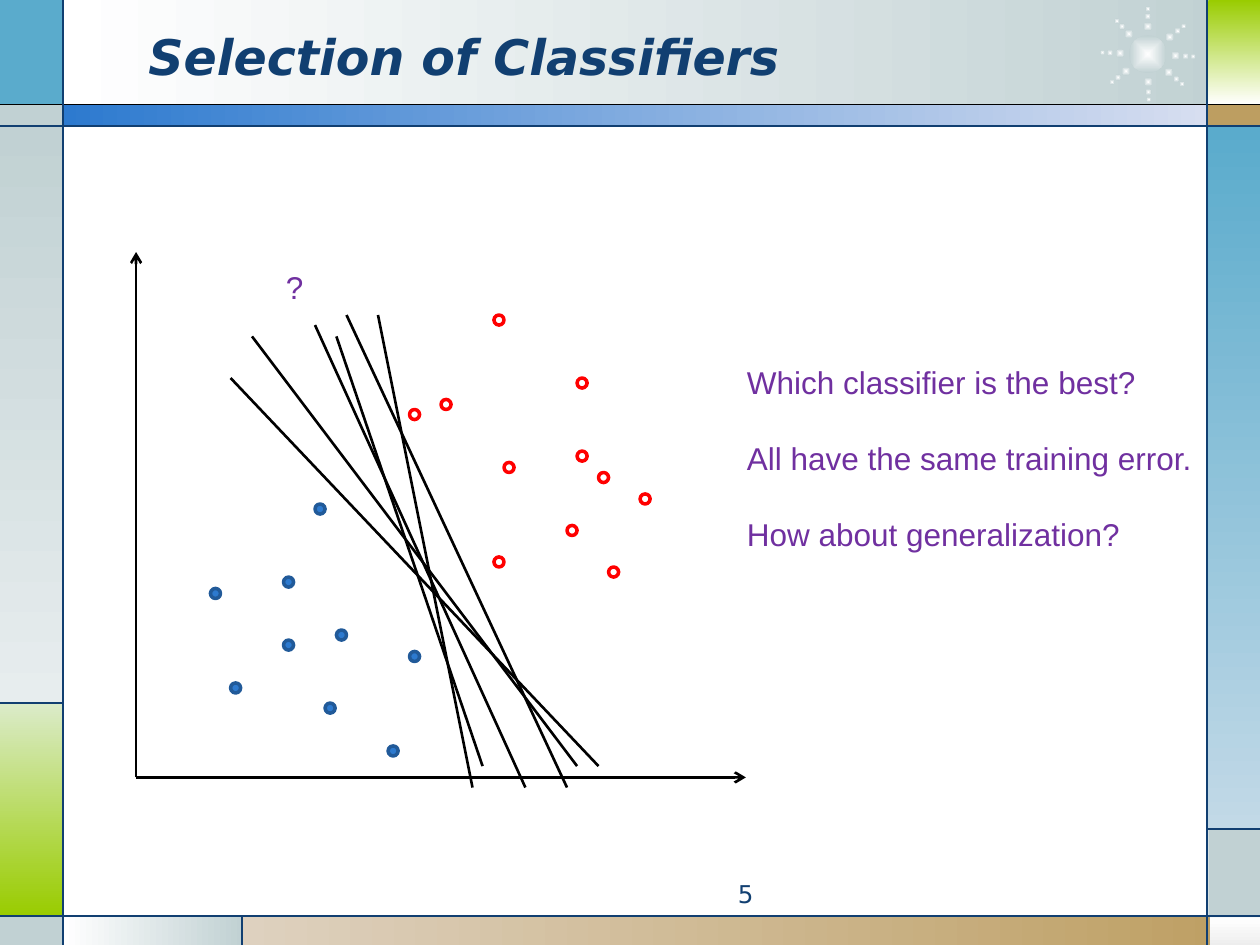
"""Build the slide on choosing among linear classifiers."""
from math import cos, radians, sin

from lxml.etree import SubElement
from pptx import Presentation
from pptx.dml.color import RGBColor
from pptx.enum.shapes import MSO_CONNECTOR as CONN, MSO_SHAPE as SHAPE
from pptx.enum.text import MSO_ANCHOR as ANCHOR, MSO_AUTO_SIZE as FIT, PP_ALIGN as ALIGN
from pptx.oxml.ns import qn
from pptx.util import Inches, Pt

WHITE = RGBColor(0xFF, 0xFF, 0xFF)
BLACK = RGBColor(0x00, 0x00, 0x00)
NAVY = RGBColor(0x11, 0x3F, 0x71)
PURPLE = RGBColor(0x70, 0x30, 0xA0)
RED = RGBColor(0xFF, 0x00, 0x00)
BLUE = RGBColor(0x2D, 0x7A, 0xCF)
DARK_BLUE = RGBColor(0x21, 0x5A, 0x99)
PALE_BLUE = RGBColor(0xD7, 0xDE, 0xF0)
SKY = RGBColor(0x5A, 0xAB, 0xCC)
PALE_SKY = RGBColor(0xC2, 0xD9, 0xE7)
GREY = RGBColor(0xC1, 0xD1, 0xD3)
PALE_GREY = RGBColor(0xE7, 0xED, 0xEE)
SILVER = RGBColor(0xED, 0xED, 0xED)
GREEN = RGBColor(0x99, 0xCC, 0x00)
PALE_GREEN = RGBColor(0xDB, 0xEB, 0xC9)
TAN = RGBColor(0xBD, 0x9E, 0x61)
PALE_TAN = RGBColor(0xDE, 0xD1, 0xBF)

ACROSS, DOWN = 0, 270
DOT = 0.08

BANDS = [
    (0.5, 0, 9.27, 0.84, (WHITE, GREY), ACROSS),
    (0, 0, 0.5, 0.84, (SKY,), None),
    (0, 0.83, 0.5, 0.17, (GREY,), None),
    (0, 1, 0.5, 4.58, (GREY, PALE_GREY), DOWN),
    (0, 5.58, 0.5, 1.69, (PALE_GREEN, GREEN), DOWN),
    (0, 7.28, 0.5, 0.23, (GREY,), None),
    (0.5, 7.27, 1.43, 0.24, (WHITE, GREY), ACROSS),
    (1.92, 7.27, 8.08, 0.24, (PALE_TAN, TAN), ACROSS),
    (9.6, 7.28, 0.4, 0.23, (WHITE, SILVER), DOWN),
    (9.59, 6.58, 0.41, 0.7, (GREY,), None),
    (9.58, 1, 0.42, 5.58, (SKY, PALE_SKY), DOWN),
    (9.58, 0.83, 0.42, 0.17, (TAN,), None),
    (9.59, 0, 0.41, 0.83, (GREEN, WHITE), DOWN),
    (0.5, 0.83, 9.09, 0.17, (BLUE, PALE_BLUE), ACROSS),
]
RULES = [
    (0, 1, 10, 1), (0, 7.27, 10, 7.27), (0.5, 0, 0.5, 7.5), (9.58, 0, 9.58, 7.5),
    (0.5, 5.58, 0, 5.58), (1.92, 7.27, 1.92, 7.5), (9.58, 6.58, 10, 6.58),
]
BURST_CENTER = (9.11, 0.43)
BURST_ANGLES = (3, 41, 89, 142, 182, 227, 270, 322)
BURST_BEADS = ((0.3, 0.05), (0.36, 0.04), (0.22, 0.07))
AXES = [(1.08, 6.17, 5.92, 6.17), (1.08, 6.17, 1.08, 2)]
BLUE_CLASS = [
    (1.67, 4.67), (2.25, 4.58), (2.25, 5.08), (3.25, 5.17), (2.67, 5),
    (2.58, 5.58), (2.5, 4), (3.08, 5.92), (1.83, 5.42),
]
RED_CLASS = [
    (3.5, 3.17), (4.58, 3.58), (3.92, 2.5), (4, 3.67), (3.92, 4.42), (3.25, 3.25),
    (4.5, 4.17), (4.58, 3), (4.83, 4.5), (5.08, 3.92), (4.75, 3.75),
]
CLASSIFIERS = [
    (2, 2.67, 4.58, 6.08), (2.5, 2.58, 4.17, 6.25), (1.83, 3, 4.75, 6.08),
    (2.75, 2.5, 4.5, 6.25), (2.67, 2.67, 3.83, 6.08), (3, 2.5, 3.75, 6.25),
]
QUESTIONS = [
    "Which classifier is the best?",
    "All have the same training error.",
    "How about generalization?",
]


class SlideBuilder:
    """Hold the style and the current slide."""

    heading_font = "DejaVu Sans"
    body_font = "Arial"

    def __init__(self, slide):
        self.slide = slide

    def shape(self, kind, x, y, w, h):
        sp = self.slide.shapes.add_shape(kind, Inches(x), Inches(y), Inches(w), Inches(h))
        sp.shadow.inherit = False
        sp.line.fill.background()
        return sp

    def gradient(self, sp, colors, angle):
        sp.fill.gradient()
        sp.fill.gradient_angle = angle
        for stop, color in zip(sp.fill.gradient_stops, colors):
            stop.color.rgb = color

    def band(self, x, y, w, h, colors, angle):
        sp = self.shape(SHAPE.RECTANGLE, x, y, w, h)
        if angle is None:
            sp.fill.solid()
            sp.fill.fore_color.rgb = colors[0]
        else:
            self.gradient(sp, colors, angle)

    def bead(self, cx, cy, size):
        sp = self.shape(SHAPE.OVAL, cx - size / 2, cy - size / 2, size, size)
        self.gradient(sp, (WHITE, GREY), ACROSS)
        grad = sp._element.spPr.find(qn("a:gradFill"))
        grad.remove(grad.find(qn("a:lin")))
        radial = SubElement(grad, qn("a:path"), path="shape")
        SubElement(radial, qn("a:fillToRect"), l="50000", t="50000", r="50000", b="50000")

    def burst(self, center, angles, beads):
        cx, cy = center
        self.bead(cx, cy, 0.3)
        for angle in map(radians, angles):
            for radius, size in beads:
                self.bead(cx + radius * cos(angle), cy + radius * sin(angle), size)

    def dot(self, x, y, outline, fill=None):
        sp = self.shape(SHAPE.OVAL, x, y, DOT, DOT)
        if fill is None:
            sp.fill.background()
        else:
            sp.fill.solid()
            sp.fill.fore_color.rgb = fill
        sp.line.color.rgb = outline
        sp.line.width = Pt(2)

    def line(self, x1, y1, x2, y2, color=BLACK, width=1.5, arrow=False):
        cxn = self.slide.shapes.add_connector(
            CONN.STRAIGHT, Inches(x1), Inches(y1), Inches(x2), Inches(y2))
        cxn.line.color.rgb = color
        cxn.line.width = Pt(width)
        if arrow:
            SubElement(cxn.line._get_or_add_ln(), qn("a:tailEnd"), type="arrow")
        SubElement(cxn._element.spPr, qn("a:effectLst"))

    def text(self, x, y, w, h, lines, size, color, font, wrap=False,
             align=ALIGN.LEFT, anchor=ANCHOR.TOP, bold=False, italic=False, gap=0):
        sp = self.slide.shapes.add_textbox(Inches(x), Inches(y), Inches(w), Inches(h))
        tf = sp.text_frame
        tf.text = "\n".join(lines)
        tf.word_wrap = wrap
        tf.auto_size = FIT.NONE if wrap else FIT.SHAPE_TO_FIT_TEXT
        tf.vertical_anchor = anchor
        for i, p in enumerate(tf.paragraphs):
            p.alignment = align
            p.space_before = Pt(gap if i else 0)
            for r in p.runs:
                r.font.name = font
                r.font.size = Pt(size)
                r.font.color.rgb = color
                r.font.bold = bold
                r.font.italic = italic


def main():
    prs = Presentation()
    prs.slide_width, prs.slide_height = Inches(10), Inches(7.5)
    s = SlideBuilder(prs.slides.add_slide(prs.slide_layouts[6]))

    for band in BANDS:
        s.band(*band)
    s.burst(BURST_CENTER, BURST_ANGLES, BURST_BEADS)
    s.line(0, 0.83, 10, 0.83, width=0.75)
    for rule in RULES:
        s.line(*rule, color=NAVY, width=0.75)

    s.text(1.08, 0.13, 7.33, 0.62, ["Selection of Classifiers"], 28, NAVY, s.heading_font,
           wrap=True, anchor=ANCHOR.MIDDLE, bold=True, italic=True)
    s.text(3.75, 6.93, 2.33, 0.27, ["5"], 14, NAVY, s.heading_font,
           wrap=True, align=ALIGN.RIGHT)

    for axis in AXES:
        s.line(*axis, arrow=True)
    for x, y in BLUE_CLASS:
        s.dot(x, y, DARK_BLUE, BLUE)
    for x, y in RED_CLASS:
        s.dot(x, y, RED)
    for classifier in CLASSIFIERS:
        s.line(*classifier)

    s.text(5.83, 2.83, 3.76, 1.62, QUESTIONS, 18, PURPLE, s.body_font, gap=22)
    s.text(2.17, 2.08, 0.34, 0.4, ["?"], 18, PURPLE, s.body_font)
    prs.save("out.pptx")


if __name__ == "__main__":
    main()
